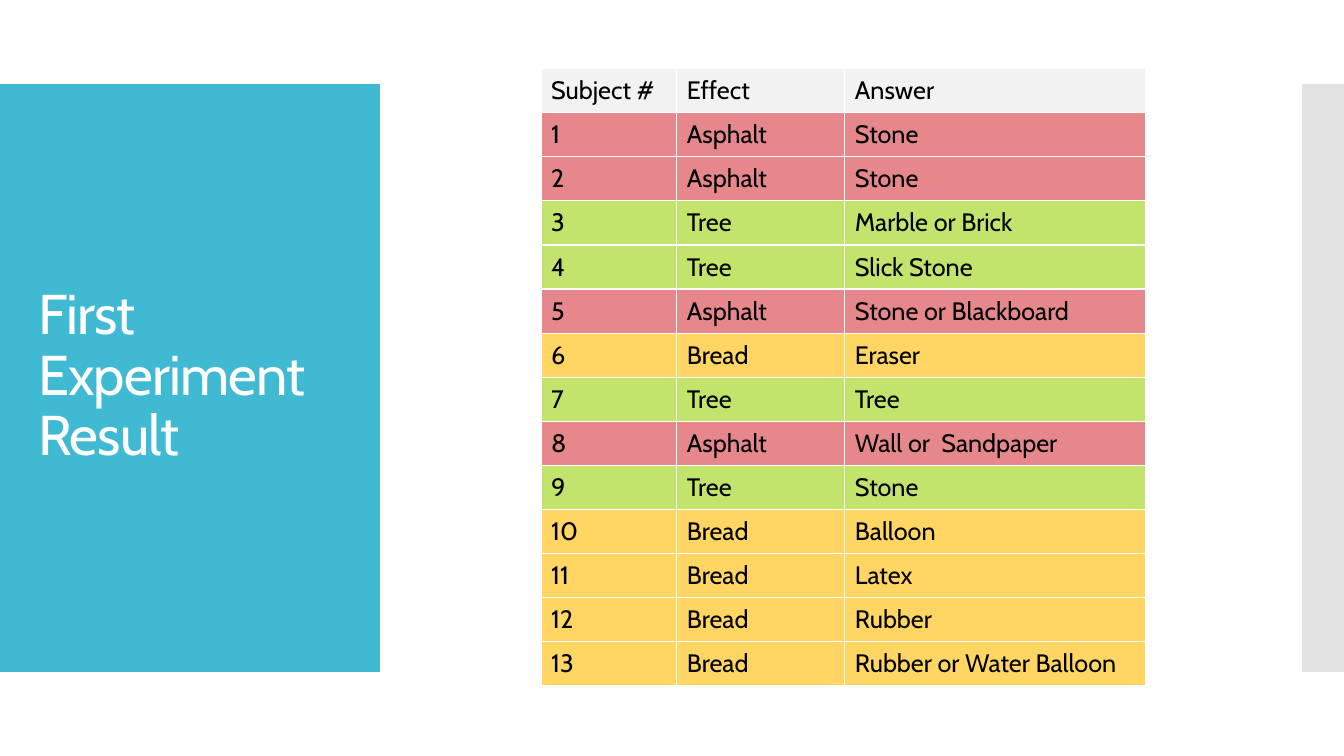
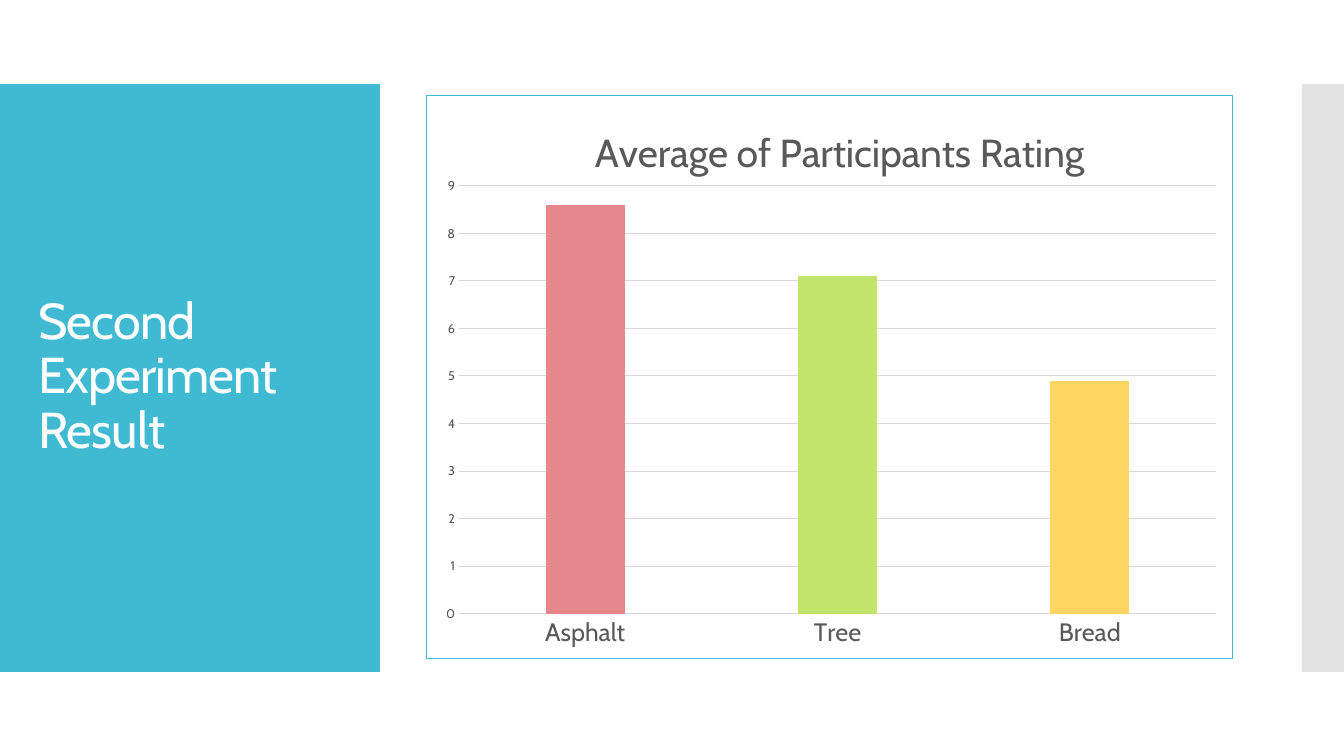
from pptx import Presentation
from pptx.chart.data import CategoryChartData
from pptx.dml.color import RGBColor
from pptx.enum.chart import XL_CHART_TYPE, XL_TICK_MARK
from pptx.enum.shapes import MSO_SHAPE
from pptx.enum.text import MSO_ANCHOR, MSO_AUTO_SIZE, PP_ALIGN
from pptx.oxml import parse_xml
from pptx.oxml.ns import nsdecls, qn
from pptx.util import Pt

COLORS = {
    "white": "FFFFFF", "black": "000000", "teal": "40BAD2", "band": "C8C8C8",
    "header": "F2F2F2", "label": "595959", "grid": "D9D9D9",
    "Asphalt": "E6888B", "Tree": "C2E46D", "Bread": "FFD663",
}
FONT = "Cabin"
TITLE_BOX = (20, 88.5, 232, 362)


def points(*values):
    return [Pt(v) for v in values]


def rgb(name):
    return RGBColor.from_string(COLORS[name])


def set_attrs(obj, **values):
    for key, value in values.items():
        setattr(obj, key, value)


def set_font(font, size, color):
    set_attrs(font, name=FONT, size=Pt(size), bold=False)
    font.color.rgb = rgb(color)


def set_fill(fill, color):
    fill.solid()
    fill.fore_color.rgb = rgb(color)


def solid_xml(color):
    return f'<a:solidFill><a:srgbClr val="{COLORS[color]}"/></a:solidFill>'


def pin(parent, target="", **fractions):
    """Place a chart part at fractions of the chart area."""
    for old in parent.findall(qn("c:layout")):
        parent.remove(old)
    values = "".join(f'<c:{k} val="{v}"/>' for k, v in fractions.items())
    layout = parse_xml(
        f'<c:layout {nsdecls("c")}><c:manualLayout>{target}'
        f'<c:xMode val="edge"/><c:yMode val="edge"/>{values}'
        '</c:manualLayout></c:layout>')
    tx = parent.find(qn("c:tx"))
    parent.insert(0 if tx is None else parent.index(tx) + 1, layout)


class Deck:
    def __init__(self):
        self.prs = Presentation()
        self.prs.slide_width, self.prs.slide_height = points(960, 540)
        self.layout = self.prs.slide_layouts[5]
        self.s = None

    def new_slide(self, title, size):
        first = self.s is None
        self.s = self.prs.slides.add_slide(self.layout)
        if first:
            self.band(101, 0, 271.4, "teal")
            self.band(102, 930, 30, "band", alpha=50)
        self.title(title, size)

    def band(self, shape_id, left, width, color, alpha=100):
        """Draw a side band and move it to the layout that all slides share."""
        sp = self.s.shapes.add_shape(
            MSO_SHAPE.RECTANGLE, *points(left, 60, width, 420))
        sp.shadow.inherit = False
        set_fill(sp.fill, color)
        sp.line.fill.background()
        if alpha < 100:
            sp.element.find(".//" + qn("a:srgbClr")).append(parse_xml(
                f'<a:alpha {nsdecls("a")} val="{alpha * 1000}"/>'))
        sp.element.find(".//" + qn("p:cNvPr")).set("id", str(shape_id))
        self.layout.shapes.element.insert(2, sp.element)

    def title(self, text, size):
        sp = self.s.shapes.title
        sp.left, sp.top, sp.width, sp.height = points(*TITLE_BOX)
        tf = sp.text_frame
        tf.text = text
        set_attrs(tf, word_wrap=True, auto_size=MSO_AUTO_SIZE.NONE,
                  vertical_anchor=MSO_ANCHOR.MIDDLE)
        p = tf.paragraphs[0]
        set_attrs(p, alignment=PP_ALIGN.LEFT, line_spacing=0.9)
        for r in p.runs:
            set_font(r.font, size, "white")
        for props in sp.element.iter(qn("a:rPr")):
            props.set("spc", "-60")

    def table(self, rows, fills, left, top, widths, height):
        frame = self.s.shapes.add_table(
            len(rows), len(widths), *points(left, top, sum(widths), height))
        tbl = frame.table
        set_attrs(tbl, first_row=False, horz_banding=False)
        for col, width in zip(tbl.columns, widths):
            col.width = Pt(width)
        for i, (row, fill) in enumerate(zip(rows, fills)):
            tbl.rows[i].height = Pt(height / len(rows))
            for j, text in enumerate(row):
                self.cell(tbl.cell(i, j), text, fill)
        # Cell borders come before the fill
        for props in frame.element.iter(qn("a:tcPr")):
            for i, side in enumerate(("lnL", "lnR", "lnT", "lnB")):
                props.insert(i, parse_xml(
                    f'<a:{side} {nsdecls("a")} w="{Pt(1)}">'
                    f'{solid_xml("white")}</a:{side}>'))

    def cell(self, cell, text, fill):
        cell.text = text
        cell.vertical_anchor = MSO_ANCHOR.MIDDLE
        p = cell.text_frame.paragraphs[0]
        p.alignment = PP_ALIGN.JUSTIFY
        set_font(p.runs[0].font, 18, "black")
        set_fill(cell.fill, fill)

    def column_chart(self, title, values, *place):
        data = CategoryChartData()
        data.categories = list(values)
        data.add_series("Series 1", list(values.values()))
        chart = self.s.shapes.add_chart(
            XL_CHART_TYPE.COLUMN_CLUSTERED, *points(*place), data).chart
        set_font(chart.font, 10, "black")
        chart.has_legend = False

        # Title
        tf = chart.chart_title.text_frame
        tf.text = title
        set_font(tf.paragraphs[0].runs[0].font, 28, "label")
        pin(chart.chart_title.element, x=0.2, y=0.04)

        # Columns
        plot = chart.plots[0]
        set_attrs(plot, gap_width=219, overlap=-27, vary_by_categories=False)
        series = plot.series[0]
        set_fill(series.format.fill, "teal")
        for i, name in enumerate(values):
            set_fill(series.points[i].format.fill, name)

        # Axes
        cat, val = chart.category_axis, chart.value_axis
        for axis, size in ((cat, 18), (val, 9)):
            set_attrs(axis, major_tick_mark=XL_TICK_MARK.NONE,
                      minor_tick_mark=XL_TICK_MARK.NONE)
            set_font(axis.tick_labels.font, size, "label")
        set_attrs(val, minimum_scale=0, maximum_scale=9, major_unit=1,
                  has_major_gridlines=True)
        val.format.line.fill.background()
        for line in (cat.format.line, val.major_gridlines.format.line):
            line.width = Pt(0.75)
            line.color.rgb = rgb("grid")

        # Plot position, chart background and border
        body = chart.element.find(qn("c:chart"))
        pin(body.find(qn("c:plotArea")), '<c:layoutTarget val="inner"/>',
            x=0.04, y=0.16, w=0.94, h=0.76)
        body.addnext(parse_xml(
            f'<c:spPr {nsdecls("c", "a")}>{solid_xml("white")}'
            f'<a:ln w="{Pt(0.75)}">{solid_xml("teal")}</a:ln></c:spPr>'))


ANSWERS = [
    ("Asphalt", "Stone"), ("Asphalt", "Stone"), ("Tree", "Marble or Brick"),
    ("Tree", "Slick Stone"), ("Asphalt", "Stone or Blackboard"),
    ("Bread", "Eraser"), ("Tree", "Tree"), ("Asphalt", "Wall or  Sandpaper"),
    ("Tree", "Stone"), ("Bread", "Balloon"), ("Bread", "Latex"),
    ("Bread", "Rubber"), ("Bread", "Rubber or Water Balloon"),
]
RATINGS = {"Asphalt": 8.6, "Tree": 7.1, "Bread": 4.9}


def main():
    deck = Deck()

    # First experiment: each row takes the colour of its effect
    deck.new_slide("First\vExperiment\vResult", 40)
    rows = [("Subject #", "Effect", "Answer")]
    rows += [(str(n), *answer) for n, answer in enumerate(ANSWERS, 1)]
    fills = ["header"] + [effect for effect, _ in ANSWERS]
    deck.table(rows, fills, 386.5, 49, (97, 120, 215), 441)

    # Second experiment
    deck.new_slide("Second\vExperiment\vResult", 36)
    deck.column_chart("Average of Participants Rating", RATINGS,
                      304.5, 68, 576, 403)

    deck.prs.save("out.pptx")


if __name__ == "__main__":
    main()
